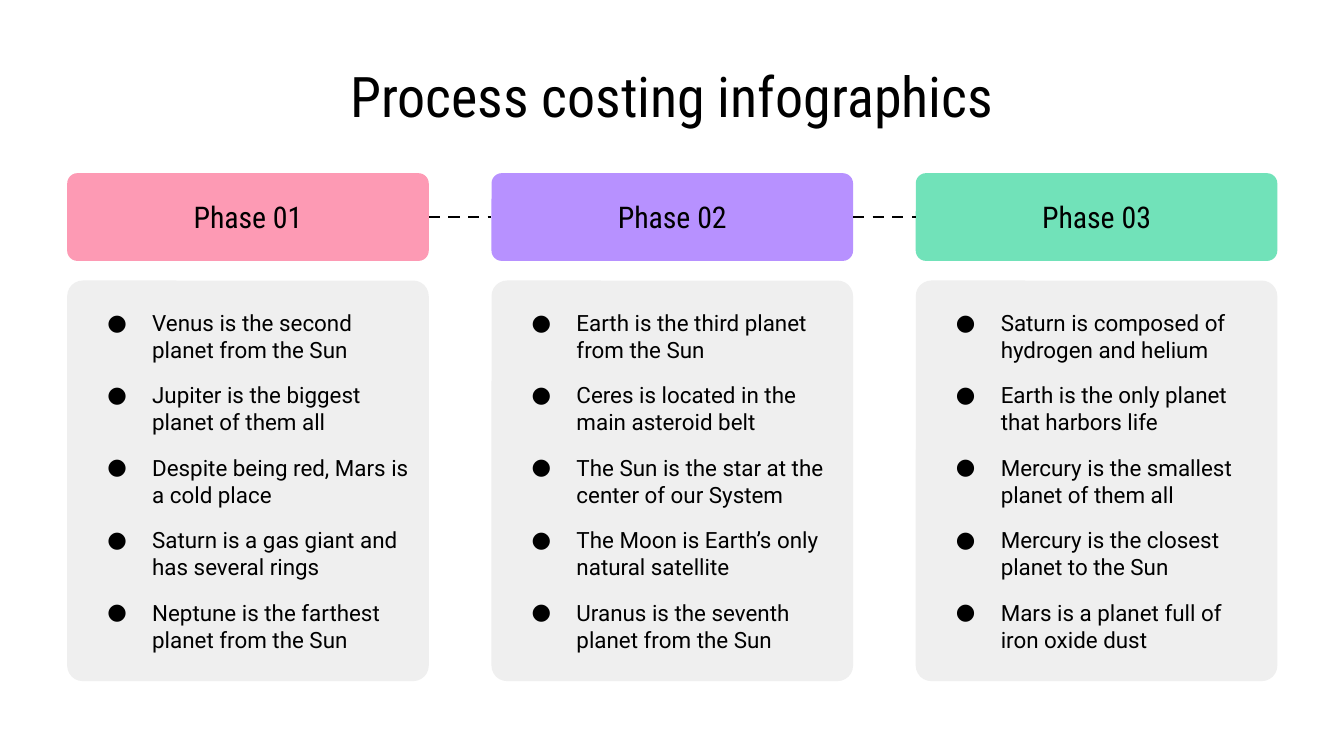
from dataclasses import dataclass

from lxml import etree
from pptx import Presentation
from pptx.dml.color import RGBColor
from pptx.enum.dml import MSO_LINE
from pptx.enum.shapes import MSO_CONNECTOR, MSO_SHAPE
from pptx.enum.text import MSO_ANCHOR, PP_ALIGN
from pptx.oxml.ns import qn
from pptx.shapes.autoshape import Shape
from pptx.slide import Slide
from pptx.text.text import TextFrame, _Paragraph
from pptx.util import Pt

ROUNDED = MSO_SHAPE.ROUNDED_RECTANGLE
STRAIGHT = MSO_CONNECTOR.STRAIGHT
DASH = MSO_LINE.DASH
MIDDLE = MSO_ANCHOR.MIDDLE
CENTER = PP_ALIGN.CENTER
LEFT = PP_ALIGN.LEFT

COLORS = {
    "text": "000000",
    "card": "EFEFEF",
    "pink": "FD9AB4",
    "violet": "B791FF",
    "green": "71E2B9",
}
HEADING_FONT = "Roboto Condensed"
BODY_FONT = "Roboto"

SLIDE_WIDTH, SLIDE_HEIGHT = 720, 405
MARGIN = 36
COLUMN_WIDTH = 193.7
COLUMN_STEP = 227.3
HEADER_TOP, HEADER_HEIGHT = 92.8, 47
CARD_TOP, CARD_HEIGHT = 150.3, 214.6
CORNER_RADIUS_HEADER, CORNER_RADIUS_CARD = 0.117, 0.043
INSET = 7.2
BULLET_MARGIN, BULLET_HANG = 36, 24
BULLET_GAP = 10


@dataclass(frozen=True)
class Phase:
    name: str
    color: str
    facts: tuple[str, ...]


PHASES = (
    Phase("Phase 01", "pink", (
        "Venus is the second planet from the Sun",
        "Jupiter is the biggest planet of them all",
        "Despite being red, Mars is a cold place",
        "Saturn is a gas giant and has several rings",
        "Neptune is the farthest planet from the Sun",
    )),
    Phase("Phase 02", "violet", (
        "Earth is the third planet from the Sun",
        "Ceres is located in the main asteroid belt",
        "The Sun is the star at the center of our System",
        "The Moon is Earth’s only natural satellite",
        "Uranus is the seventh planet from the Sun",
    )),
    Phase("Phase 03", "green", (
        "Saturn is composed of hydrogen and helium",
        "Earth is the only planet that harbors life",
        "Mercury is the smallest planet of them all",
        "Mercury is the closest planet to the Sun",
        "Mars is a planet full of iron oxide dust",
    )),
)


def color(name: str) -> RGBColor:
    return RGBColor.from_string(COLORS[name])


def prepare_frame(frame: TextFrame) -> None:
    """Wrap and centre the text vertically with equal insets."""
    frame.word_wrap = True
    frame.vertical_anchor = MIDDLE
    frame.margin_left = frame.margin_right = Pt(INSET)
    frame.margin_top = frame.margin_bottom = Pt(INSET)


def add_run(paragraph: _Paragraph, text: str, font: str, size: float) -> None:
    run = paragraph.add_run()
    run.text = text
    run.font.name = font
    run.font.size = Pt(size)
    run.font.color.rgb = color("text")


def add_heading(frame: TextFrame, text: str, size: float) -> None:
    prepare_frame(frame)
    paragraph = frame.paragraphs[0]
    paragraph.alignment = CENTER
    add_run(paragraph, text, HEADING_FONT, size)


def add_bullet(paragraph: _Paragraph) -> None:
    properties = paragraph._p.get_or_add_pPr()
    properties.set("marL", str(Pt(BULLET_MARGIN)))
    properties.set("indent", str(-Pt(BULLET_HANG)))
    bullet_color = etree.SubElement(properties, qn("a:buClr"))
    etree.SubElement(bullet_color, qn("a:srgbClr"), val=COLORS["text"])
    etree.SubElement(properties, qn("a:buFont"), typeface=BODY_FONT)
    etree.SubElement(properties, qn("a:buChar"), char="●")


def add_panel(slide: Slide, left: float, top: float, height: float,
              radius: float, fill: str) -> Shape:
    """Add a borderless rounded panel of column width."""
    shape = slide.shapes.add_shape(
        ROUNDED, Pt(left), Pt(top), Pt(COLUMN_WIDTH), Pt(height))
    shape.adjustments[0] = radius
    shape.shadow.inherit = False
    shape.fill.solid()
    shape.fill.fore_color.rgb = color(fill)
    shape.line.fill.background()
    return shape


def add_phase(slide: Slide, phase: Phase, left: float) -> None:
    card = add_panel(slide, left, CARD_TOP, CARD_HEIGHT,
                     CORNER_RADIUS_CARD, "card")
    frame = card.text_frame
    prepare_frame(frame)
    for index, fact in enumerate(phase.facts):
        paragraph = frame.add_paragraph() if index else frame.paragraphs[0]
        add_bullet(paragraph)
        paragraph.alignment = LEFT
        paragraph.space_before = Pt(BULLET_GAP if index else 0)
        add_run(paragraph, fact, BODY_FONT, 12)
    frame.paragraphs[-1].space_after = Pt(BULLET_GAP)

    header = add_panel(slide, left, HEADER_TOP, HEADER_HEIGHT,
                       CORNER_RADIUS_HEADER, phase.color)
    add_heading(header.text_frame, phase.name, 16)


def add_link(slide: Slide, left: float, right: float) -> None:
    """Join two neighbouring headers with a dashed line."""
    middle = HEADER_TOP + HEADER_HEIGHT / 2
    link = slide.shapes.add_connector(
        STRAIGHT, Pt(left), Pt(middle), Pt(right), Pt(middle))
    link.line.color.rgb = color("text")
    link.line.width = Pt(1.5)
    link.line.dash_style = DASH
    etree.SubElement(link._element.spPr, qn("a:effectLst"))


def main() -> None:
    presentation = Presentation()
    presentation.slide_width = Pt(SLIDE_WIDTH)
    presentation.slide_height = Pt(SLIDE_HEIGHT)
    slide = presentation.slides.add_slide(presentation.slide_layouts[6])

    title = slide.shapes.add_textbox(
        Pt(MARGIN), Pt(32.4), Pt(SLIDE_WIDTH - 2 * MARGIN), Pt(37.5))
    add_heading(title.text_frame, "Process costing infographics", 30)

    for index, phase in enumerate(PHASES):
        left = MARGIN + index * COLUMN_STEP
        add_phase(slide, phase, left)
        if index:
            add_link(slide, left - COLUMN_STEP + COLUMN_WIDTH, left)

    presentation.save("out.pptx")


if __name__ == "__main__":
    main()
